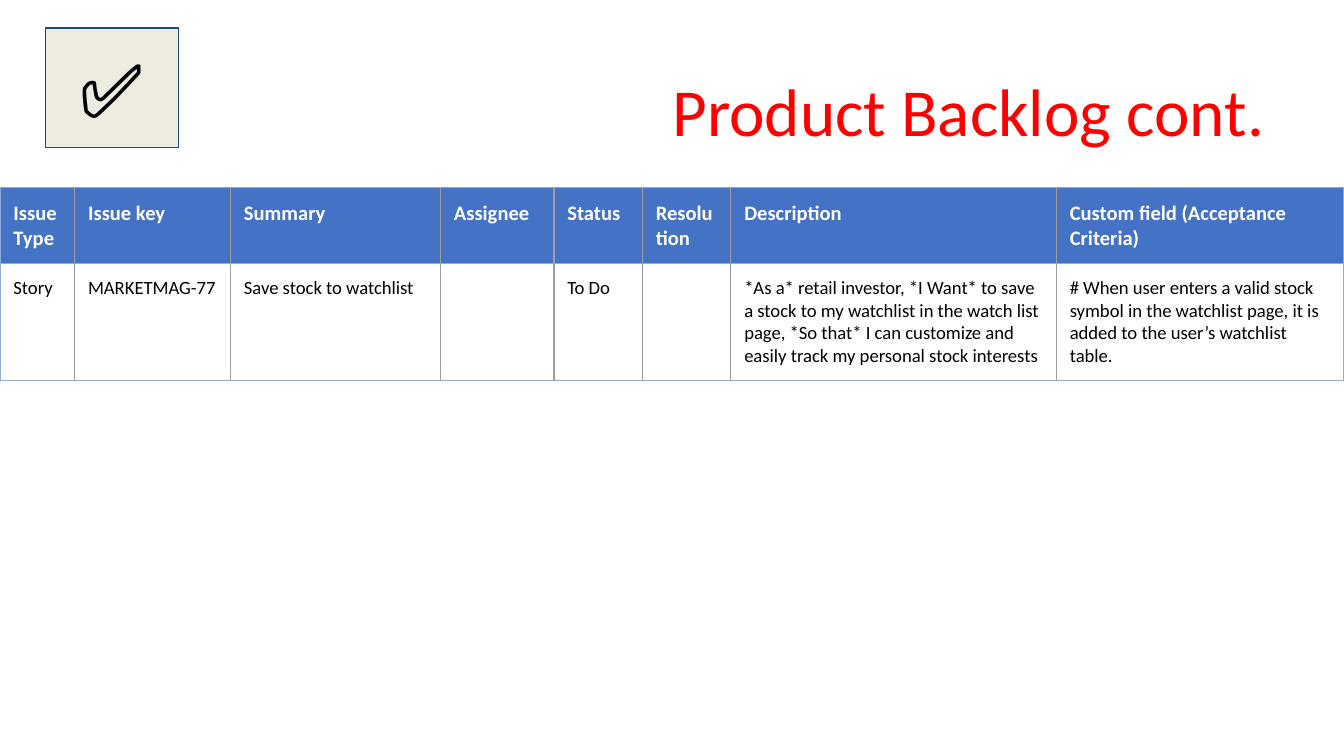
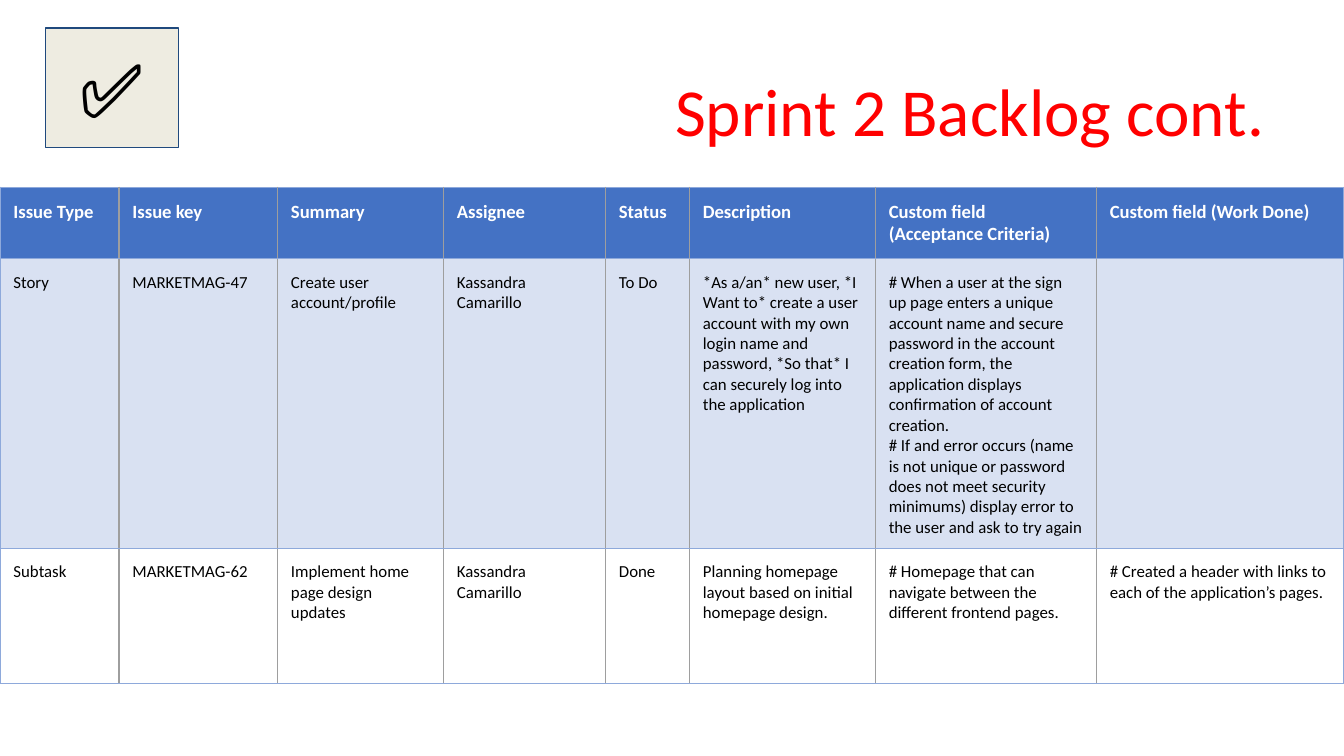
from dataclasses import dataclass

from lxml import etree
from pptx import Presentation
from pptx.dml.color import RGBColor
from pptx.enum import shapes, text as t
from pptx.oxml import ns
from pptx.util import Pt


@dataclass(frozen=True)
class Theme:
    font: str = "Calibri"
    title: str = "FF0000"
    header: str = "4472C4"
    header_text: str = "FFFFFF"
    body: str = "000000"
    band: str = "D9E1F2"
    badge: str = "EEECE1"
    badge_line: str = "1F497D"
    edge: str = "8EA9DB"
    divider: str = "9E9E9E"
    title_size: float = 36
    badge_size: float = 40
    inset: float = 7.2
    plain_table: str = "{2D5ABB26-0587-4C30-8999-92F81FD0307C}"


@dataclass(frozen=True)
class Backlog:
    title: str
    widths: tuple[float, ...]
    heights: tuple[float, ...]
    rows: tuple[tuple[str, ...], ...]
    header_size: float
    body_size: float
    banded: bool


THEME = Theme()
PAGE_WIDTH, PAGE_HEIGHT = 720, 405
TABLE_TOP = 100.2

BACKLOGS = (
    Backlog(
        title="Product Backlog cont.",
        widths=(40, 83.5, 112.5, 60.8, 47.4, 47.4, 174.4, 154),
        heights=(31.5, 47),
        rows=(
            ("Issue Type", "Issue key", "Summary", "Assignee", "Status", "Resolution",
             "Description", "Custom field (Acceptance Criteria)"),
            ("Story", "MARKETMAG-77", "Save stock to watchlist", "", "To Do", "",
             "*As a* retail investor, *I Want* to save a stock to my watchlist in the watch "
             "list page, *So that* I can customize and easily track my personal stock interests",
             "# When user enters a valid stock symbol in the watchlist page, it is added to "
             "the user’s watchlist table."),
        ),
        header_size=11,
        body_size=10,
        banded=False,
    ),
    Backlog(
        title="Sprint 2 Backlog cont.",
        widths=(63.8, 84.9, 88.9, 86.8, 45, 99.6, 118.4, 132.6),
        heights=(25, 72, 72),
        rows=(
            ("Issue Type", "Issue key", "Summary", "Assignee", "Status", "Description",
             "Custom field (Acceptance Criteria)", "Custom field (Work Done)"),
            ("Story", "MARKETMAG-47", "Create user account/profile", "Kassandra Camarillo",
             "To Do",
             "*As a/an* new user, *I Want to* create a user account with my own login name "
             "and password, *So that* I can securely log into the application",
             "# When a user at the sign up page enters a unique account name and secure "
             "password in the account creation form, the application displays confirmation "
             "of account creation.\n"
             "# If and error occurs (name is not unique or password does not meet security "
             "minimums) display error to the user and ask to try again", ""),
            ("Subtask", "MARKETMAG-62", "Implement home page design updates",
             "Kassandra Camarillo", "Done",
             "Planning homepage layout based on initial homepage design.",
             "# Homepage that can navigate between the different frontend pages.",
             "# Created a header with links to each of the application’s pages."),
        ),
        header_size=10,
        body_size=9,
        banded=True,
    ),
)


def rgb(colour: str) -> RGBColor:
    return RGBColor.from_string(colour)


def write(frame, text: str, *, size: float, colour: str, bold: bool = False,
          align=t.PP_ALIGN.LEFT) -> None:
    frame.word_wrap = True
    for index, line in enumerate(text.split("\n")):
        para = frame.add_paragraph() if index else frame.paragraphs[0]
        para.alignment = align
        span = para.add_run()
        span.text = line
        span.font.name = THEME.font
        span.font.size = Pt(size)
        span.font.bold = bold
        span.font.color.rgb = rgb(colour)


def set_insets(target, vertical: float) -> None:
    target.margin_left = target.margin_right = Pt(THEME.inset)
    target.margin_top = target.margin_bottom = Pt(vertical)


def add_title(page, title: str) -> None:
    box = page.shapes.add_textbox(Pt(35.5), Pt(22.5), Pt(649), Pt(72))
    set_insets(box.text_frame, THEME.inset / 2)
    box.text_frame.vertical_anchor = t.MSO_ANCHOR.MIDDLE
    write(box.text_frame, title, size=THEME.title_size, colour=THEME.title,
          align=t.PP_ALIGN.RIGHT)


def add_badge(page) -> None:
    badge = page.shapes.add_shape(shapes.MSO_SHAPE.RECTANGLE,
                                  Pt(24.5), Pt(15), Pt(71), Pt(64))
    badge.shadow.inherit = False
    badge.fill.solid()
    badge.fill.fore_color.rgb = rgb(THEME.badge)
    badge.line.color.rgb = rgb(THEME.badge_line)
    badge.line.width = Pt(0.75)
    set_insets(badge.text_frame, THEME.inset)
    badge.text_frame.vertical_anchor = t.MSO_ANCHOR.MIDDLE
    write(badge.text_frame, "✅", size=THEME.badge_size, colour=THEME.body,
          align=t.PP_ALIGN.CENTER)


def set_borders(cell, first: bool, last: bool) -> None:
    edge, divider = (THEME.edge, 0.5), (THEME.divider, 0.75)
    sides = {"lnL": edge if first else divider, "lnR": edge if last else divider,
             "lnT": edge, "lnB": edge}
    properties = cell._tc.get_or_add_tcPr()
    for index, (side, (colour, width)) in enumerate(sides.items()):
        line = etree.Element(ns.qn(f"a:{side}"), w=str(Pt(width)))
        fill = etree.SubElement(line, ns.qn("a:solidFill"))
        etree.SubElement(fill, ns.qn("a:srgbClr"), val=colour)
        properties.insert(index, line)


def add_backlog_table(page, backlog: Backlog) -> None:
    frame = page.shapes.add_table(len(backlog.rows), len(backlog.widths), 0, Pt(TABLE_TOP),
                                  Pt(PAGE_WIDTH), Pt(sum(backlog.heights)))
    next(frame._element.iter(ns.qn("a:tableStyleId"))).text = THEME.plain_table
    table = frame.table
    table.first_row = table.horz_banding = False
    for column, width in zip(table.columns, backlog.widths):
        column.width = Pt(width)
    for row, height in zip(table.rows, backlog.heights):
        row.height = Pt(height)
    final = len(backlog.widths) - 1
    for r, values in enumerate(backlog.rows):
        heading = r == 0
        fill = THEME.header if heading else THEME.band if backlog.banded and r % 2 else None
        for c, value in enumerate(values):
            cell = table.cell(r, c)
            set_insets(cell, THEME.inset)
            if fill:
                cell.fill.solid()
                cell.fill.fore_color.rgb = rgb(fill)
            else:
                cell.fill.background()
            set_borders(cell, c == 0, c == final)
            if value:
                write(cell.text_frame, value, bold=heading,
                      size=backlog.header_size if heading else backlog.body_size,
                      colour=THEME.header_text if heading else THEME.body)


def main() -> None:
    deck = Presentation()
    deck.slide_width, deck.slide_height = Pt(PAGE_WIDTH), Pt(PAGE_HEIGHT)
    for backlog in BACKLOGS:
        page = deck.slides.add_slide(deck.slide_layouts[6])
        add_title(page, backlog.title)
        add_badge(page)
        add_backlog_table(page, backlog)
    deck.save("out.pptx")


if __name__ == "__main__":
    main()
